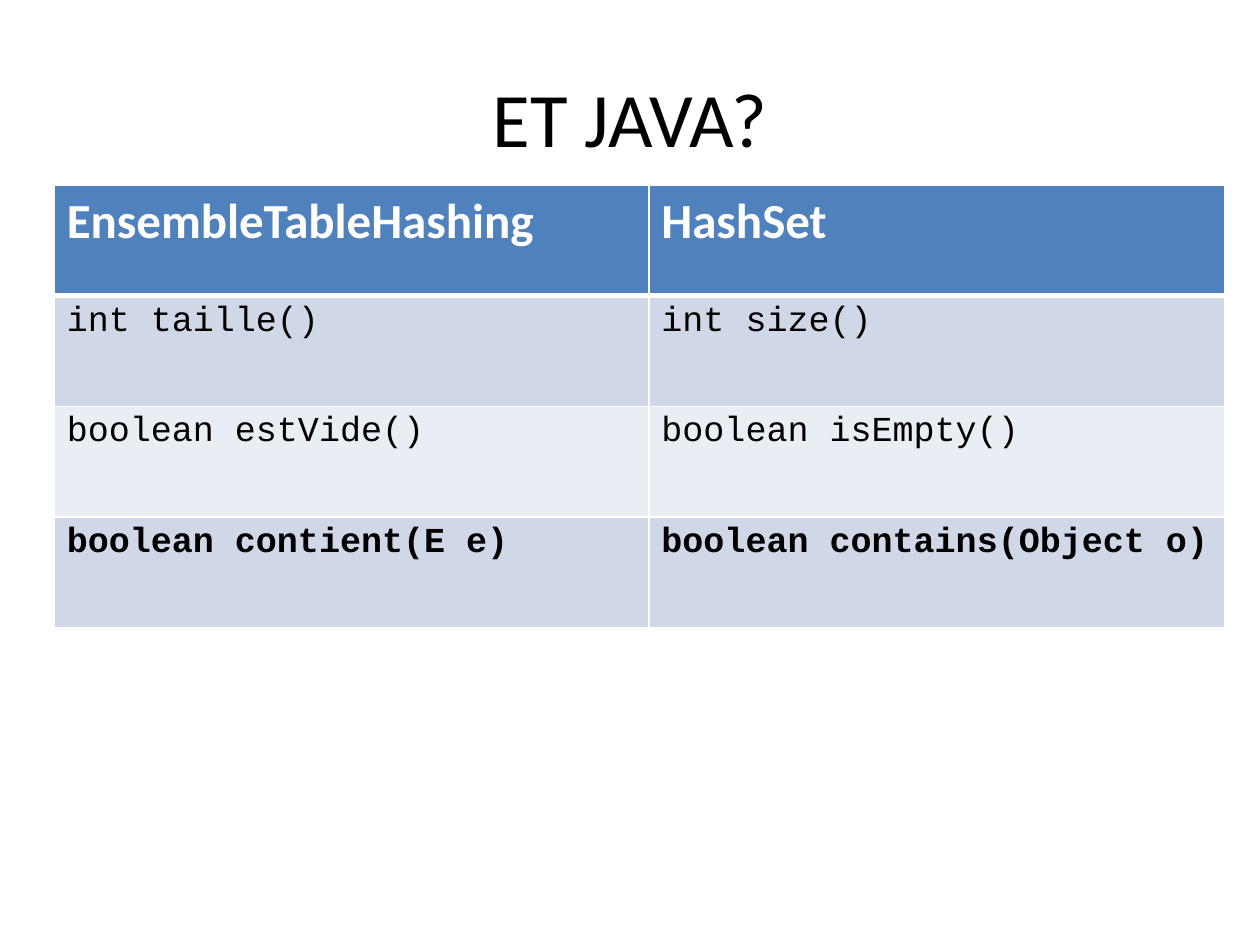
"""Build a slide comparing a hash-table set with Java's HashSet."""
from dataclasses import dataclass

import pptx
import pptx.dml.color
import pptx.enum.text
import pptx.oxml
import pptx.oxml.ns
import pptx.util

WIDTH, HEIGHT = pptx.util.Inches(10), pptx.util.Inches(7.5)
COLOURS = {
    "ink": "000000",
    "paper": "FFFFFF",
    "header": "4F81BD",
    "odd": "D0D8E8",
    "even": "E9EDF4",
}
TITLE_AREA = (0.05, 0.04, 0.9, 0.167)
TABLE_AREA = (0.043, 0.196, 0.929, 0.468)
COLUMN_SHARES = (0.472, 0.457)
TITLE_FONT = {"name": "Calibri", "size": pptx.util.Pt(44), "bold": False}
HEADER_FONT = {"name": "Calibri", "size": pptx.util.Pt(28), "bold": True}
CODE_FONT = {"name": "Courier New", "size": pptx.util.Pt(20), "bold": False}
KEY_FONT = {**CODE_FONT, "bold": True}


@dataclass(frozen=True)
class Row:
    ours: str
    java: str
    font: dict
    fill: str
    ink: str = "ink"
    rule_below: int = 1


ROWS = (
    Row("EnsembleTableHashing", "HashSet", HEADER_FONT, "header", "paper", 3),
    Row("int taille()", "int size()", CODE_FONT, "odd"),
    Row("boolean estVide()", "boolean isEmpty()", CODE_FONT, "even"),
    Row("boolean contient(E e)", "boolean contains(Object o)", KEY_FONT, "odd"),
)


def colour(name: str) -> pptx.dml.color.RGBColor:
    return pptx.dml.color.RGBColor.from_string(COLOURS[name])


def place(area: tuple) -> tuple:
    left, top, width, height = area
    return tuple(
        round(length)
        for length in (left * WIDTH, top * HEIGHT, width * WIDTH, height * HEIGHT)
    )


def style(font, values: dict, ink: str) -> None:
    for attribute, value in values.items():
        setattr(font, attribute, value)
    font.color.rgb = colour(ink)


def rule(cell, side: str, points: int) -> None:
    line = pptx.oxml.parse_xml(
        f'<a:ln{side} {pptx.oxml.ns.nsdecls("a")} w="{pptx.util.Pt(points)}">'
        f'<a:solidFill><a:srgbClr val="{COLOURS["paper"]}"/></a:solidFill>'
        f"</a:ln{side}>"
    )
    cell._tc.get_or_add_tcPr().append(line)


def fill_row(cells, row: Row, rule_above: int) -> None:
    for cell, wording in zip(cells, (row.ours, row.java)):
        for side, points in zip("LRTB", (1, 1, rule_above, row.rule_below)):
            rule(cell, side, points)
        cell.fill.solid()
        cell.fill.fore_color.rgb = colour(row.fill)
        cell.text = wording
        style(cell.text_frame.paragraphs[0].runs[0].font, row.font, row.ink)


def add_title(slide, wording: str) -> None:
    title = slide.shapes.title
    title.left, title.top, title.width, title.height = place(TITLE_AREA)
    title.text = wording
    title.text_frame.vertical_anchor = pptx.enum.text.MSO_ANCHOR.MIDDLE
    heading = title.text_frame.paragraphs[0]
    heading.alignment = pptx.enum.text.PP_ALIGN.CENTER
    style(heading.runs[0].font, TITLE_FONT, "ink")


def add_comparison(slide) -> None:
    table = slide.shapes.add_table(
        len(ROWS), len(COLUMN_SHARES), *place(TABLE_AREA)
    ).table
    for column, share in zip(table.columns, COLUMN_SHARES):
        column.width = round(share * WIDTH)
    rule_above = 1
    for table_row, row in zip(table.rows, ROWS):
        fill_row(table_row.cells, row, rule_above)
        rule_above = row.rule_below


def main() -> None:
    deck = pptx.Presentation()
    deck.slide_width, deck.slide_height = WIDTH, HEIGHT
    slide = deck.slides.add_slide(deck.slide_layouts.get_by_name("Title Only"))
    add_title(slide, "ET JAVA?")
    add_comparison(slide)
    deck.save("out.pptx")


if __name__ == "__main__":
    main()
